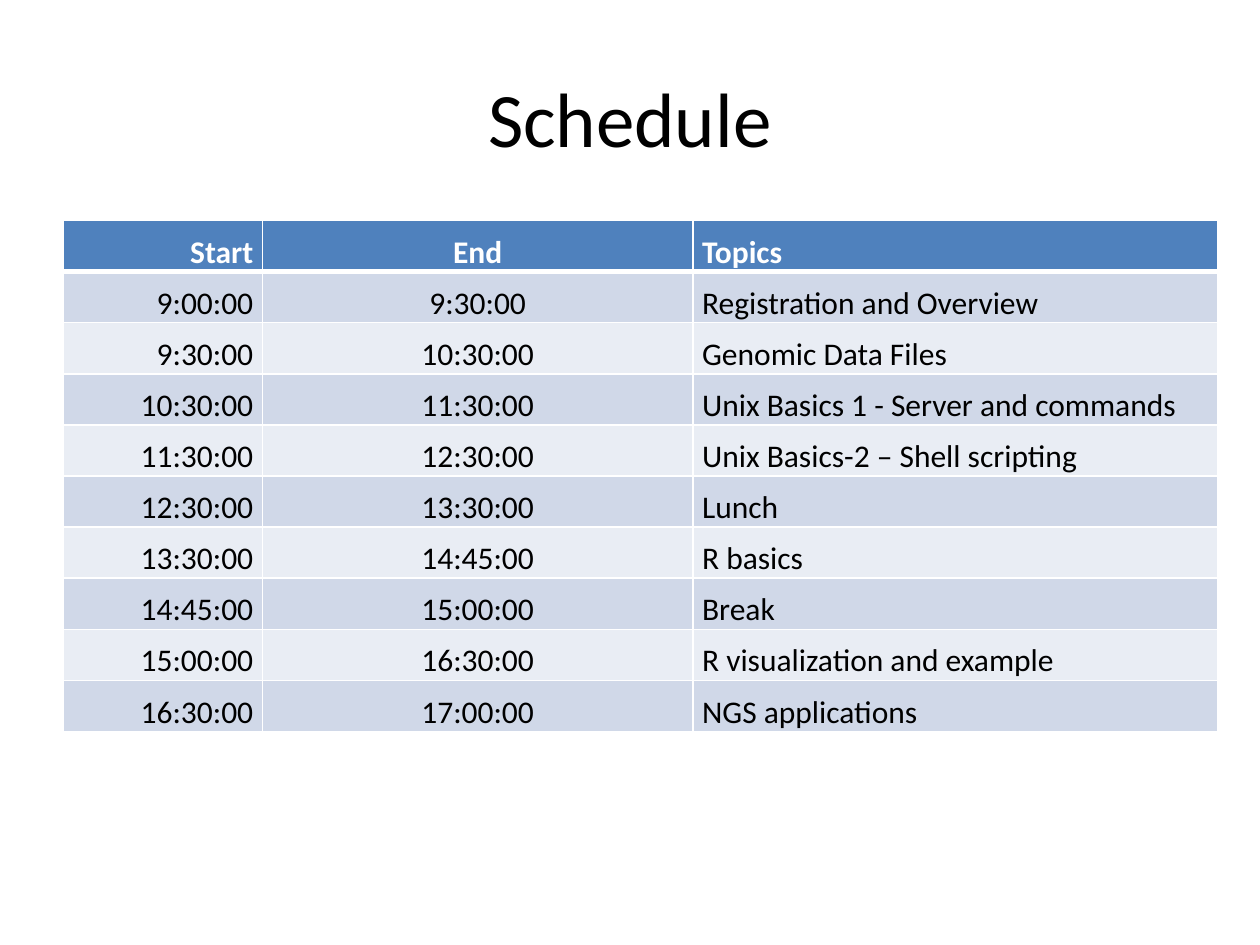
import pptx
import pptx.dml.color
import pptx.enum.text
import pptx.oxml
import pptx.oxml.ns
import pptx.util

Pt = pptx.util.Pt
ALIGN = pptx.enum.text.PP_ALIGN
ANCHOR = pptx.enum.text.MSO_ANCHOR

HEADER = ("Start", "End", "Topics")
TIMES = ("9:00:00", "9:30:00", "10:30:00", "11:30:00", "12:30:00",
         "13:30:00", "14:45:00", "15:00:00", "16:30:00", "17:00:00")
TOPICS = ("Registration and Overview", "Genomic Data Files",
          "Unix Basics 1 - Server and commands",
          "Unix Basics-2 – Shell scripting", "Lunch", "R basics", "Break",
          "R visualization and example", "NGS applications")


def color(value):
    return pptx.dml.color.RGBColor.from_string(value)


class Schedule:
    font = "Calibri"
    ink, paper = "000000", "FFFFFF"
    header_fill = "4F81BD"
    bands = ("E9EDF4", "D0D8E8")

    def __init__(self, page):
        self.page = page

    def set_text(self, para, text, size, ink, align, bold=False):
        para.text = text
        para.alignment = align
        para.font.name = self.font
        para.font.size = Pt(size)
        para.font.bold = bold
        para.font.color.rgb = color(ink)

    def title(self, text, left, top, width, height):
        box = self.page.shapes.add_textbox(Pt(left), Pt(top), Pt(width), Pt(height))
        frame = box.text_frame
        frame.word_wrap = True
        frame.vertical_anchor = ANCHOR.MIDDLE
        self.set_text(frame.paragraphs[0], text, 44, self.ink, ALIGN.CENTER)

    def border(self, cell, side, width):
        """Draw one cell edge; must run before the cell is filled."""
        cell._tc.get_or_add_tcPr().append(pptx.oxml.parse_xml(
            f'<a:{side} {pptx.oxml.ns.nsdecls("a")} w="{Pt(width)}"><a:solidFill>'
            f'<a:srgbClr val="{self.paper}"/></a:solidFill></a:{side}>'))

    def table(self, rows, left, top, widths, row_height, aligns):
        table = self.page.shapes.add_table(
            len(rows), len(widths), Pt(left), Pt(top),
            Pt(sum(widths)), Pt(row_height * len(rows))).table
        for column, width in zip(table.columns, widths):
            column.width = Pt(width)
        for i, texts in enumerate(rows):
            table.rows[i].height = Pt(row_height)
            for j, text in enumerate(texts):
                self.cell(table.cell(i, j), text, i, aligns[j])

    def cell(self, cell, text, row, align):
        header = row == 0
        cell.margin_left = cell.margin_right = Pt(5.25)
        cell.margin_top = cell.margin_bottom = Pt(0)
        cell.vertical_anchor = ANCHOR.BOTTOM
        for side in ("lnL", "lnR"):
            self.border(cell, side, 1)
        self.border(cell, "lnT", 3 if row == 1 else 1)
        self.border(cell, "lnB", 3 if header else 1)
        cell.fill.solid()
        cell.fill.fore_color.rgb = color(self.header_fill if header else self.bands[row % 2])
        self.set_text(cell.text_frame.paragraphs[0], text, 18,
                      self.paper if header else self.ink, align, header)


def main():
    deck = pptx.Presentation()
    deck.slide_width, deck.slide_height = Pt(720), Pt(540)
    schedule = Schedule(deck.slides.add_slide(deck.slide_layouts[6]))
    schedule.title("Schedule", 36, 21.6, 648, 90)
    # Each session ends when the next one starts.
    rows = [HEADER, *zip(TIMES, TIMES[1:], TOPICS)]
    schedule.table(rows, 36, 126, (114, 246, 300), 29.2,
                   (ALIGN.RIGHT, ALIGN.CENTER, ALIGN.LEFT))
    deck.save("out.pptx")


if __name__ == "__main__":
    main()
